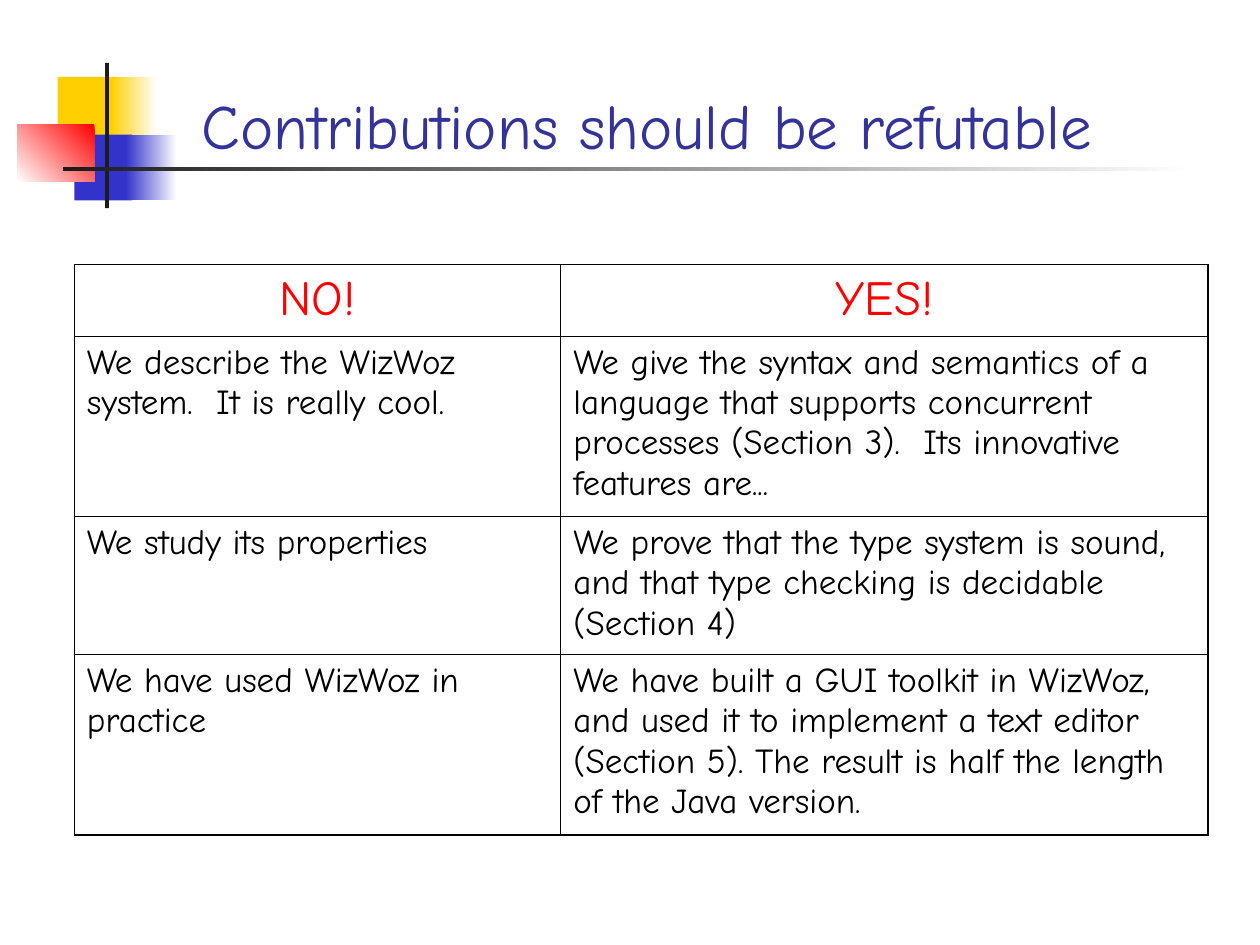
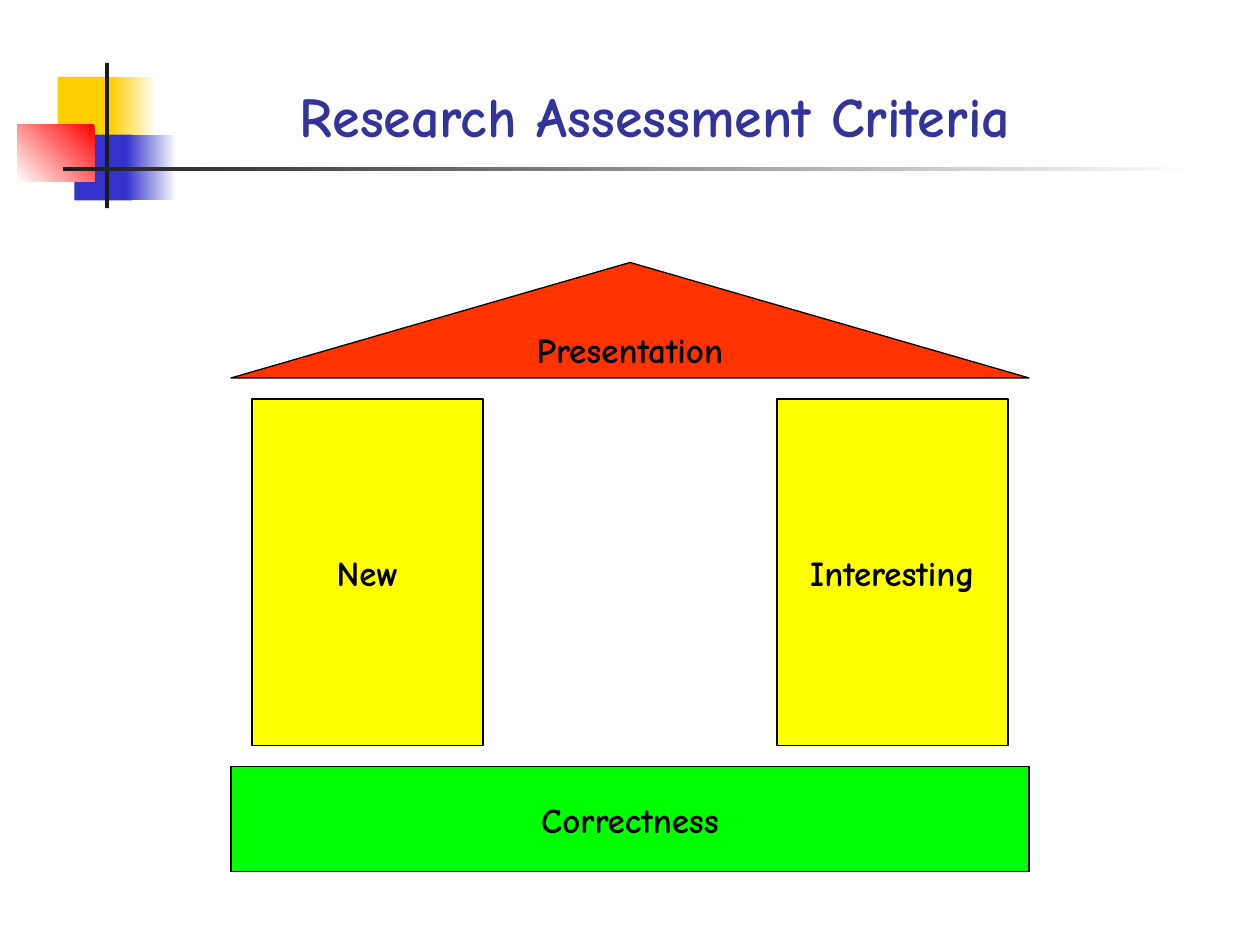
from lxml import etree
from pptx import Presentation
from pptx.dml.color import RGBColor
from pptx.enum.shapes import MSO_SHAPE as Kind
from pptx.enum.text import MSO_ANCHOR as Anchor, MSO_AUTO_SIZE as Fit, PP_ALIGN as Align
from pptx.oxml.ns import qn
from pptx.util import Pt

FONT = "Comic Neue"
HUES = {
    "white": "FFFFFF", "black": "000000", "title": "333399",
    "gold": "FFCF01", "blue": "3333CC", "red": "FF0000", "ink": "1C1C1C",
    "roof": "FF3300", "pillar": "FFFF00", "base": "00FF00",
}
THICK, THIN = 1.08, 0.45

# Each mark: place, colours (two make a gradient), gradient angle
MARKS = [
    ((33, 44, 34.5, 37.5), ["gold"], 0),
    ((63.5, 44, 26, 37.5), ["white", "gold"], 180),
    ((42.5, 77, 33, 37.5), ["blue"], 0),
    ((72, 77, 29, 37.5), ["white", "blue"], 180),
    ((10, 71, 44, 33), ["red", "white"], 225),
    ((60, 36, 2.25, 83), ["ink"], 0),
    ((36, 95.25, 648, 2.25), ["white", "ink"], 180),
]

CLAIMS = [
    ("NO!", "YES!"),
    ("We describe the WizWoz system.  It is really cool.",
     "We give the syntax and semantics of a language that supports concurrent "
     "processes (Section 3).  Its innovative features are..."),
    ("We study its properties",
     "We prove that the type system is sound, and that type checking is "
     "decidable (Section 4)"),
    ("We have used WizWoz in practice",
     "We have built a GUI toolkit in WizWoz, and used it to implement a text "
     "editor (Section 5). The result is half the length of the Java version."),
]


def tint(name):
    return RGBColor.from_string(HUES[name])


class Deck:
    def __init__(self):
        self.prs = Presentation()
        self.prs.slide_width, self.prs.slide_height = Pt(720), Pt(540)
        self.layout = self.prs.slide_layouts.get_by_name("Title Only")
        self.slide = None

    def start(self, title, box, size, **look):
        first = self.slide is None
        self.slide = self.prs.slides.add_slide(self.layout)
        if first:
            self.brand()
        head = self.slide.shapes.title
        head.left, head.top, head.width, head.height = map(Pt, box)
        self.label(head.text_frame, title, size, "title", **look)

    def brand(self):
        """Move the corner marks to the layout, behind its placeholders."""
        tree = self.layout.shapes.element
        for n, (box, hues, angle) in enumerate(MARKS):
            mark = self.shape(Kind.RECTANGLE, box, hues, angle)
            mark.element.nvSpPr.cNvPr.set("id", str(20 + n))
            tree.insert(2 + n, mark.element)

    def label(self, frame, text, size, hue, bold=False, align=Align.LEFT,
              anchor=Anchor.MIDDLE, wrap=True):
        frame.text = text
        frame.word_wrap = wrap
        frame.auto_size = Fit.NONE
        frame.vertical_anchor = anchor
        self.style(frame.paragraphs[0], size, hue, bold, align)

    def style(self, para, size, hue, bold=False, align=Align.LEFT):
        para.alignment = align
        for run in para.runs:
            font = run.font
            font.name, font.size, font.bold = FONT, Pt(size), bold
            font.color.rgb = tint(hue)

    def shape(self, kind, box, hues, angle=0):
        item = self.slide.shapes.add_shape(kind, *map(Pt, box))
        item.shadow.inherit = False
        item.line.fill.background()
        if len(hues) == 1:
            item.fill.solid()
            item.fill.fore_color.rgb = tint(hues[0])
        else:
            item.fill.gradient()
            item.fill.gradient_angle = angle
            for stop, hue in zip(item.fill.gradient_stops, hues):
                stop.color.rgb = tint(hue)
        return item

    def block(self, kind, box, hue, text):
        item = self.shape(kind, box, [hue])
        item.line.color.rgb = tint("black")
        item.line.width = Pt(0.75)
        self.label(item.text_frame, text, 20, "black", bold=True,
                   align=Align.CENTER, wrap=False)

    def table(self, spot, widths, heights, rows):
        grid = self.slide.shapes.add_table(
            len(rows), len(widths), *map(Pt, (*spot, sum(widths), sum(heights)))).table
        grid.first_row = grid.horz_banding = False
        for col, width in zip(grid.columns, widths):
            col.width = Pt(width)
        for row, height in zip(grid.rows, heights):
            row.height = Pt(height)
        for r, texts in enumerate(rows):
            for c, text in enumerate(texts):
                cell = grid.cell(r, c)
                cell.text = text
                look = (28, "red", False, Align.CENTER) if r == 0 else (20, "black")
                self.style(cell.text_frame.paragraphs[0], *look)
                outer = {"L": c == 0, "R": c == len(widths) - 1,
                         "T": r == 0, "B": r == len(rows) - 1}
                self.edge(cell, outer)
                cell.fill.background()

    def edge(self, cell, outer):
        """Draw the four borders, thicker where they lie on the outside."""
        props = cell._tc.get_or_add_tcPr()
        for side, out in outer.items():
            line = etree.SubElement(props, qn("a:ln" + side),
                                    w=str(Pt(THICK if out else THIN)))
            fill = etree.SubElement(line, qn("a:solidFill"))
            etree.SubElement(fill, qn("a:srgbClr"), val=HUES["black"])


def claims(deck):
    deck.start("Contributions should be refutable", (108, 6, 612, 90), 36,
               anchor=Anchor.BOTTOM)
    deck.table((42.5, 151.2), (278, 370), (41, 103, 79, 103), CLAIMS)


def house(deck):
    deck.start("Research Assessment Criteria", (163.5, 42.5, 422, 46), 32,
               bold=True, align=Align.CENTER, wrap=False)
    left, top, wide, gap = 132, 150, 456, 12
    roof, tall, side, base = 66, 198, 132, 60
    deck.block(Kind.ISOSCELES_TRIANGLE, (left, top, wide, roof), "roof", "Presentation")
    top += roof + gap
    for x, text in ((left + gap, "New"), (left + wide - gap - side, "Interesting")):
        deck.block(Kind.RECTANGLE, (x, top, side, tall), "pillar", text)
    top += tall + gap
    deck.block(Kind.RECTANGLE, (left, top, wide, base), "base", "Correctness")


def main():
    deck = Deck()
    claims(deck)
    house(deck)
    deck.prs.save("out.pptx")


if __name__ == "__main__":
    main()
